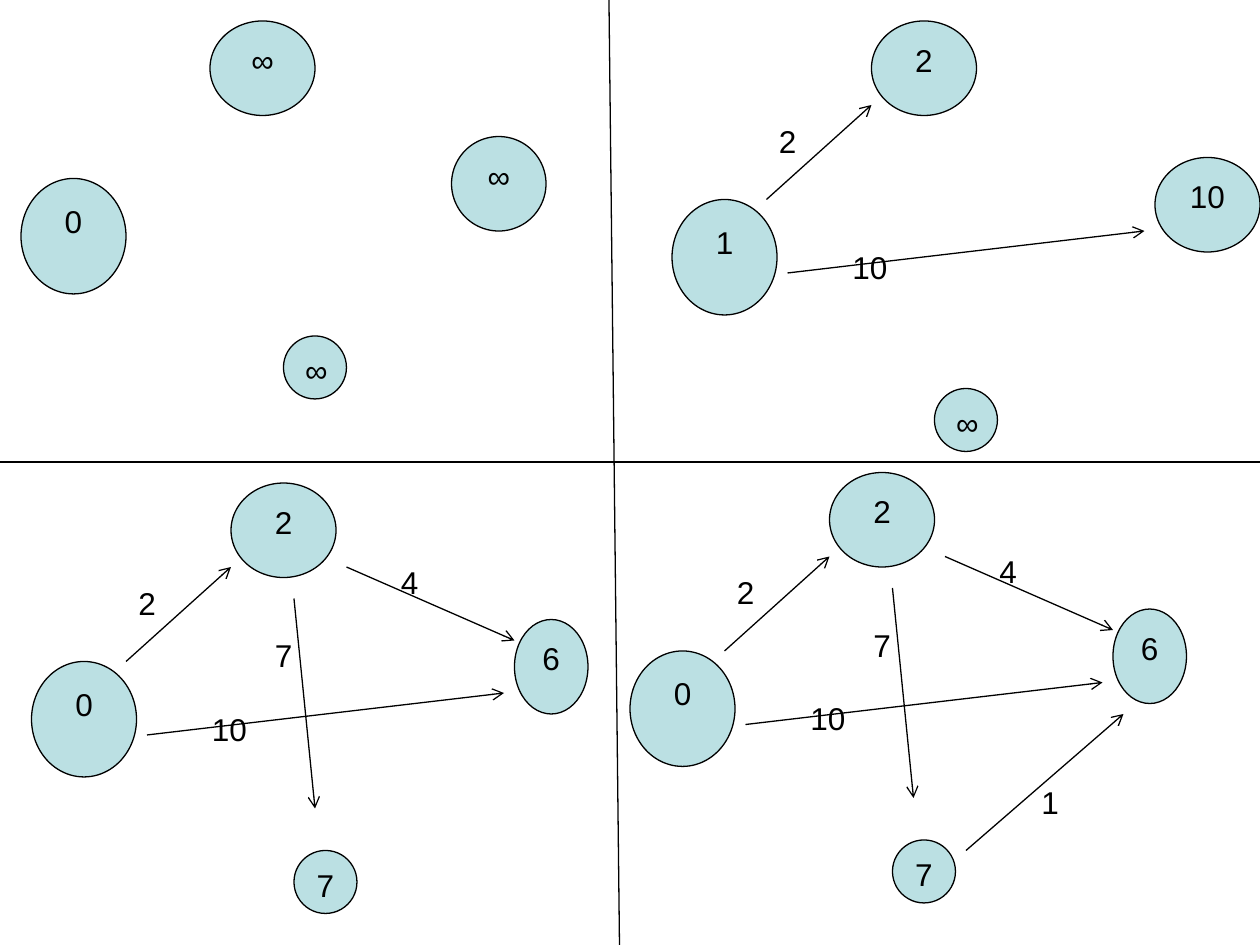
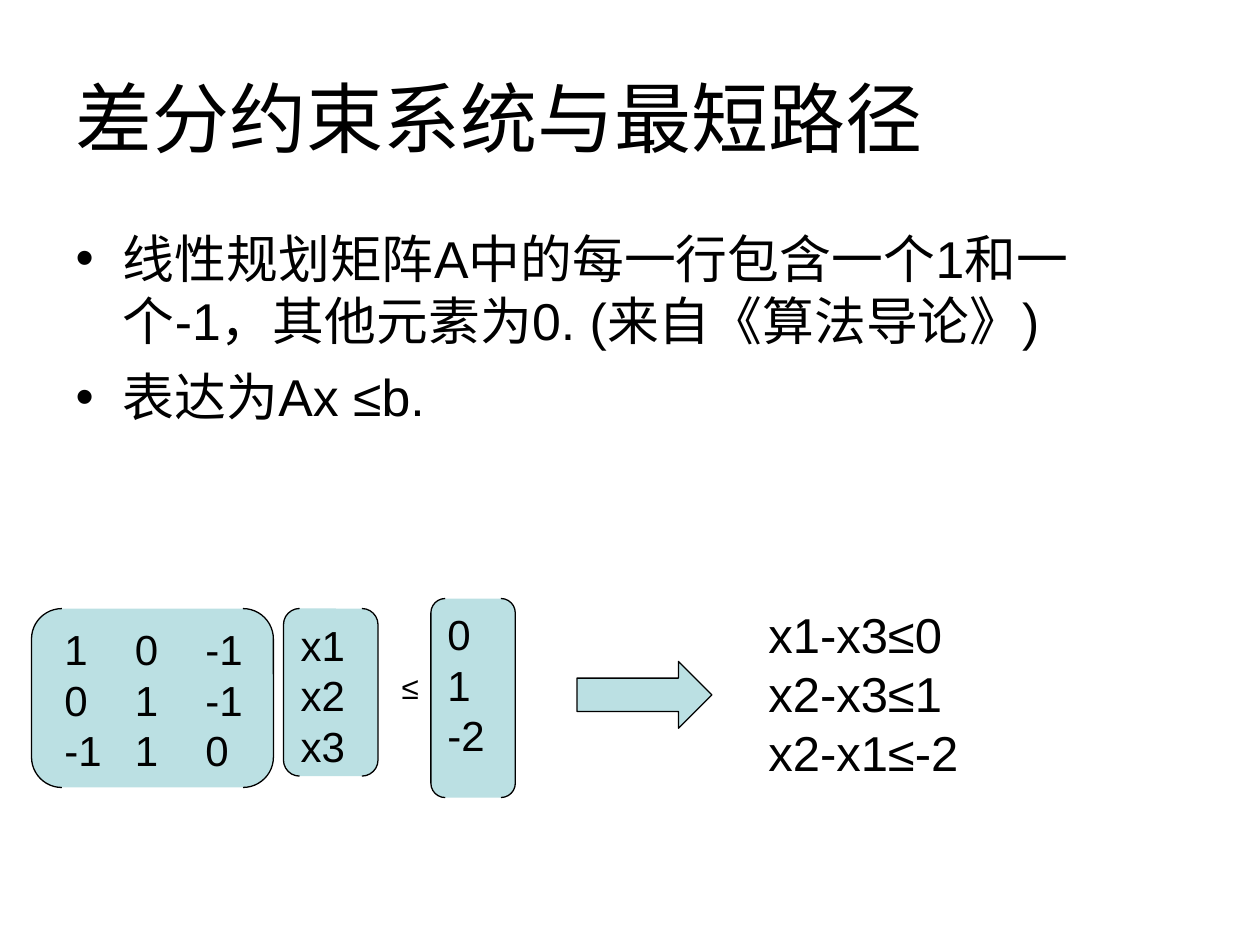
from pptx import Presentation
from pptx.dml.color import RGBColor
from pptx.enum.shapes import MSO_CONNECTOR, MSO_SHAPE
from pptx.enum.text import MSO_ANCHOR, MSO_AUTO_SIZE, PP_ALIGN
from pptx.oxml.ns import qn
from pptx.util import Inches, Pt
from lxml import etree

# Theme
THEME = {
    "ink": RGBColor(0x00, 0x00, 0x00),
    "fill": RGBColor(0xBB, 0xE0, 0xE3),
    "font": "Arial",
    "line": Pt(0.75),
    "title": Pt(44),
    "body": Pt(29.6),
    "result": Pt(28),
    "matrix": Pt(24),
    "label": Pt(18),
}

# Slide 1 content: the graph lies on a grid of twelfths of an inch
GRID = 12
NODES = {"start": (0, 17, 10, 11), "top": (19, 0, 10, 9),
         "right": (46, 13, 7, 9), "low": (25, 35, 6, 6)}
FIRST_NODES = {"start": (0, 15, 10, 11), "top": (18, 0, 10, 9),
               "right": (41, 11, 9, 9), "low": (25, 30, 6, 6)}
SECOND_NODES = {**NODES, "right": (46, 13, 10, 9)}

# Edge: from, to, weight, place of the weight
EDGES = {
    "start-top": ((9, 17), (19, 8), "2", (9, 9)),
    "start-right": ((11, 24), (45, 20), "10", (16, 21)),
    "top-right": ((30, 8), (46, 15), "4", (34, 7)),
    "top-low": ((25, 11), (27, 31), "7", (22, 14)),
    "low-right": ((32, 36), (47, 23), "1", (38, 29)),
}

# Step: origin, node places, distances, number of edges relaxed
STEPS = [
    ((2, 2), FIRST_NODES, ("0", "∞", "∞", "∞"), 0),
    ((64, 2), SECOND_NODES, ("1", "2", "10", "∞"), 2),
    ((3, 46), NODES, ("0", "2", "6", "7"), 4),
    ((60, 45), NODES, ("0", "2", "6", "7"), 5),
]
DIVIDERS = [((0, 44), (120, 44)), ((58, 0), (59, 90))]

# Slide 2 content
TITLE = "差分约束系统与最短路径"
BULLETS = ["线性规划矩阵A中的每一行包含一个1和一个-1，其他元素为0. (来自《算法导论》)",
           "表达为Ax ≤b."]
# Bracket: box, left inset, rows
BRACKETS = [
    ((0.25, 4.83, 1.92, 1.42), 0.19, ["1\t0\t-1", "0\t1\t-1", "-1\t1\t0"]),
    ((2.25, 4.83, 0.75, 1.33), 0.1, ["x1", "x2", "x3"]),
    ((3.42, 4.75, 0.67, 1.58), 0.1, ["0", "1", "-2"]),
]
COLUMN_GAP = 0.56
RESULTS = ["x1-x3≤0", "x2-x3≤1", "x2-x1≤-2"]


def inches(values):
    return [Inches(v) for v in values]


def on_grid(*values):
    return [v / GRID for v in values]


def write(tf, lines, size, align=PP_ALIGN.LEFT, gap=0, anchor=MSO_ANCHOR.TOP,
          inset=0.1, wrap=True):
    frame = {"word_wrap": wrap, "auto_size": MSO_AUTO_SIZE.NONE,
             "vertical_anchor": anchor, "margin_left": Inches(inset),
             "margin_right": Inches(0.1), "margin_top": Inches(0.05),
             "margin_bottom": Inches(0.05)}
    for name, value in frame.items():
        setattr(tf, name, value)
    for i, line in enumerate(lines):
        p = tf.paragraphs[0] if i == 0 else tf.add_paragraph()
        p.alignment = align
        p.space_before = Pt(gap if i else 0)
        if "\t" in line:
            tabs = etree.SubElement(p._p.get_or_add_pPr(), qn("a:tabLst"))
            for column in (1, 2):
                etree.SubElement(tabs, qn("a:tab"), algn="l",
                                 pos=str(Inches(column * COLUMN_GAP)))
        r = p.add_run()
        r.text = line
        r.font.name, r.font.size = THEME["font"], size
        r.font.color.rgb = THEME["ink"]


def add_text(s, box, lines, size, **options):
    write(s.shapes.add_textbox(*inches(box)).text_frame, lines, size, **options)


def add_figure(s, kind, box):
    sp = s.shapes.add_shape(kind, *inches(box))
    sp.shadow.inherit = False
    sp.fill.solid()
    sp.fill.fore_color.rgb = THEME["fill"]
    sp.line.color.rgb = THEME["ink"]
    sp.line.width = THEME["line"]
    return sp


def add_line(s, start, end, arrow=False):
    cxn = s.shapes.add_connector(MSO_CONNECTOR.STRAIGHT, *inches(start + end))
    cxn.line.color.rgb = THEME["ink"]
    cxn.line.width = THEME["line"]
    if arrow:
        etree.SubElement(cxn.line._get_or_add_ln(), qn("a:tailEnd"), type="arrow")
    etree.SubElement(cxn._element.spPr, qn("a:effectLst"))


def add_step(s, origin, nodes, distances, edge_count):
    def place(point):
        return on_grid(origin[0] + point[0], origin[1] + point[1])

    for (x, y, w, h), distance in zip(nodes.values(), distances):
        sp = add_figure(s, MSO_SHAPE.FLOWCHART_CONNECTOR, place((x, y)) + on_grid(w, h))
        write(sp.text_frame, [distance], THEME["label"], align=PP_ALIGN.CENTER)
    for start, end, weight, spot in list(EDGES.values())[:edge_count]:
        add_line(s, place(start), place(end), arrow=True)
        add_text(s, place(spot) + [0.58, 0.4], [weight], THEME["label"])


def build_steps(prs):
    s = prs.slides.add_slide(prs.slide_layouts[6])
    for step in STEPS:
        add_step(s, *step)
    for start, end in DIVIDERS:
        add_line(s, on_grid(*start), on_grid(*end))


def build_system(prs):
    s = prs.slides.add_slide(prs.slide_layouts[1])
    # Title and list
    title, body = s.placeholders
    for holder, box in ((title, (0.5, 0.3, 9, 1.25)), (body, (0.5, 1.75, 9, 2.08))):
        holder.left, holder.top, holder.width, holder.height = inches(box)
    write(title.text_frame, [TITLE], THEME["title"], anchor=MSO_ANCHOR.MIDDLE)
    write(body.text_frame, BULLETS, THEME["body"], gap=8)

    # Matrix inequality
    add_text(s, (3.09, 5.25, 0.34, 0.4), ["≤"], THEME["label"], wrap=False)
    for box, inset, rows in BRACKETS:
        sp = add_figure(s, MSO_SHAPE.DOUBLE_BRACKET, box)
        sp.adjustments[0] = 0.17
        write(sp.text_frame, rows, THEME["matrix"], inset=inset)

    # Resulting constraints
    add_figure(s, MSO_SHAPE.RIGHT_ARROW, (4.58, 5.25, 1.07, 0.53))
    add_text(s, (6, 4.75, 3.17, 1.97), RESULTS, THEME["result"])


def main():
    prs = Presentation()
    prs.slide_width, prs.slide_height = Inches(10), Inches(7.5)
    build_steps(prs)
    build_system(prs)
    prs.save("out.pptx")


if __name__ == "__main__":
    main()
